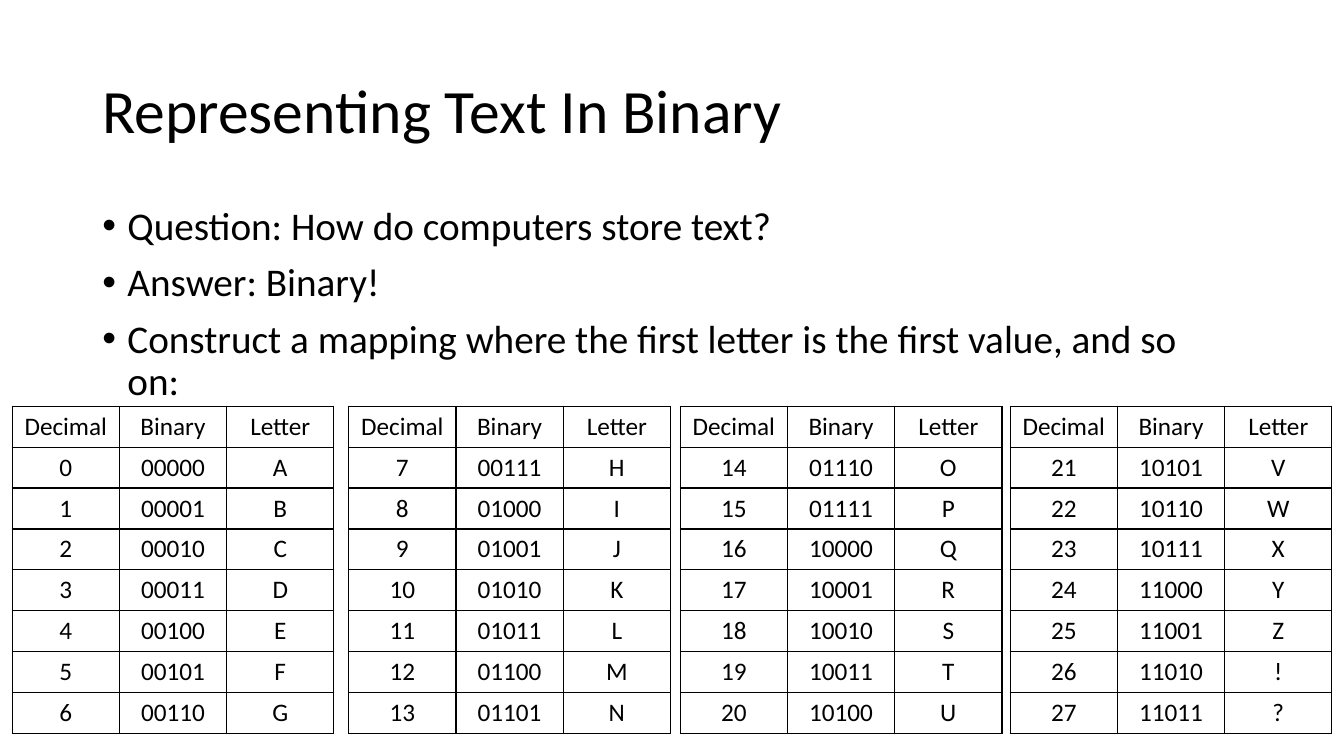
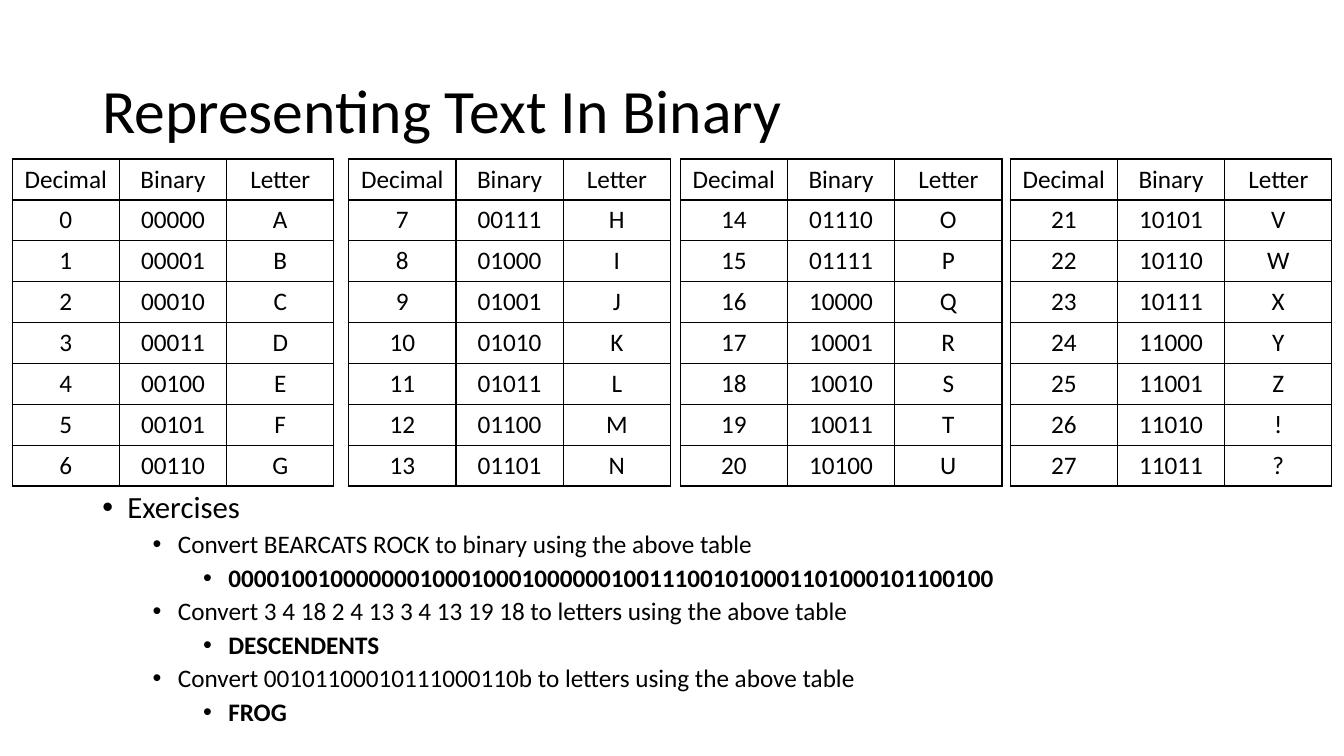
from lxml import etree
from pptx import Presentation
from pptx.dml.color import RGBColor
from pptx.enum.text import MSO_ANCHOR, PP_ALIGN
from pptx.oxml.ns import qn
from pptx.util import Pt

CENTER = PP_ALIGN.CENTER
TOP, MIDDLE = MSO_ANCHOR.TOP, MSO_ANCHOR.MIDDLE

COLORS = {"text": "000000", "grid": "000000", "background": "FFFFFF"}
FONT = "Calibri"
TITLE = "Representing Text In Binary"
HEADERS = ("Decimal", "Binary", "Letter")
LETTERS = "ABCDEFGHIJKLMNOPQRSTUVWXYZ!?"
LETTERS_PER_TABLE = 7
TABLE_LEFTS = (8.7, 249.1, 485.9, 721.6)
COL_WIDTH, ROW_HEIGHT = 76.6, 29.2
MARGIN_LEFT, BODY_WIDTH, BODY_BOTTOM = 66, 808.6, 524


class Deck:
    """Holds the shared style and the current slide."""

    def __init__(self):
        self.prs = Presentation()
        self.prs.slide_width, self.prs.slide_height = Pt(960), Pt(540)
        self.slide = None

    def add_slide(self, title):
        self.slide = self.prs.slides.add_slide(self.prs.slide_layouts[6])
        fill = self.slide.background.fill
        fill.solid()
        fill.fore_color.rgb = RGBColor.from_string(COLORS["background"])
        tf = self.text_frame(MARGIN_LEFT, 28.8, 828, 104.4, MIDDLE)
        p = tf.paragraphs[0]
        p.line_spacing = 0.9
        self.run(p, title, 44)

    def text_frame(self, left, top, width, height, anchor=TOP):
        sp = self.slide.shapes.add_textbox(Pt(left), Pt(top), Pt(width), Pt(height))
        tf = sp.text_frame
        tf.word_wrap = True
        tf.vertical_anchor = anchor
        return tf

    def run(self, p, text, size, bold=False):
        r = p.add_run()
        r.text = text
        r.font.name, r.font.size, r.font.bold = FONT, Pt(size), bold
        r.font.color.rgb = RGBColor.from_string(COLORS["text"])

    def bullets(self, top, items, space_before):
        """Draw (level, size, bold, text) items as a bulleted list."""
        tf = self.text_frame(MARGIN_LEFT, top, BODY_WIDTH, BODY_BOTTOM - top)
        for i, (level, size, bold, text) in enumerate(items):
            p = tf.add_paragraph() if i else tf.paragraphs[0]
            p.level = level
            p.line_spacing = 0.9
            p.space_before = Pt(space_before)
            pPr = p._p.get_or_add_pPr()
            pPr.set("marL", str(Pt(18 + 36 * level)))
            pPr.set("indent", str(Pt(-18)))
            etree.SubElement(pPr, qn("a:buFont"), typeface="Arial")
            etree.SubElement(pPr, qn("a:buChar"), char="•")
            self.run(p, text, size, bold)

    def table(self, left, top, rows):
        frame = self.slide.shapes.add_table(
            len(rows), len(rows[0]), Pt(left), Pt(top),
            Pt(COL_WIDTH * len(rows[0])), Pt(ROW_HEIGHT * len(rows)))
        table = frame.table
        table.first_row = table.horz_banding = False
        for column in table.columns:
            column.width = Pt(COL_WIDTH)
        for row, values in zip(table.rows, rows):
            row.height = Pt(ROW_HEIGHT)
            for cell, value in zip(row.cells, values):
                self.borders(cell)
                cell.fill.background()
                p = cell.text_frame.paragraphs[0]
                p.alignment = CENTER
                self.run(p, value, 18)

    def borders(self, cell):
        tcPr = cell._tc.get_or_add_tcPr()
        for side in ("lnL", "lnR", "lnT", "lnB"):
            ln = etree.SubElement(tcPr, qn(f"a:{side}"), w=str(Pt(1)))
            fill = etree.SubElement(ln, qn("a:solidFill"))
            etree.SubElement(fill, qn("a:srgbClr"), val=COLORS["grid"])

    def letter_tables(self, top):
        """Draw the letter codes as four tables side by side."""
        codes = [(str(n), f"{n:05b}", letter) for n, letter in enumerate(LETTERS)]
        for i, left in enumerate(TABLE_LEFTS):
            start = i * LETTERS_PER_TABLE
            self.table(left, top, [HEADERS] + codes[start:start + LETTERS_PER_TABLE])


def main():
    deck = Deck()

    deck.add_slide(TITLE)
    deck.bullets(144, [
        (0, 28, False, "Question: How do computers store text?"),
        (0, 28, False, "Answer: Binary!"),
        (0, 28, False, "Construct a mapping where the first letter is the first value, and so on:"),
    ], space_before=10)
    deck.letter_tables(290.2)

    deck.add_slide(TITLE)
    deck.bullets(348, [
        (0, 22, False, "Exercises"),
        (1, 18, False, "Convert BEARCATS ROCK to binary using the above table"),
        (2, 18, True, "000010010000000100010001000000100111001010001101000101100100"),
        (1, 18, False, "Convert 3 4 18 2 4 13 3 4 13 19 18 to letters using the above table"),
        (2, 18, True, "DESCENDENTS"),
        (1, 18, False, "Convert 00101100010111000110b to letters using the above table"),
        (2, 18, True, "FROG"),
    ], space_before=4.5)
    deck.letter_tables(113.6)

    deck.prs.save("out.pptx")


if __name__ == "__main__":
    main()
